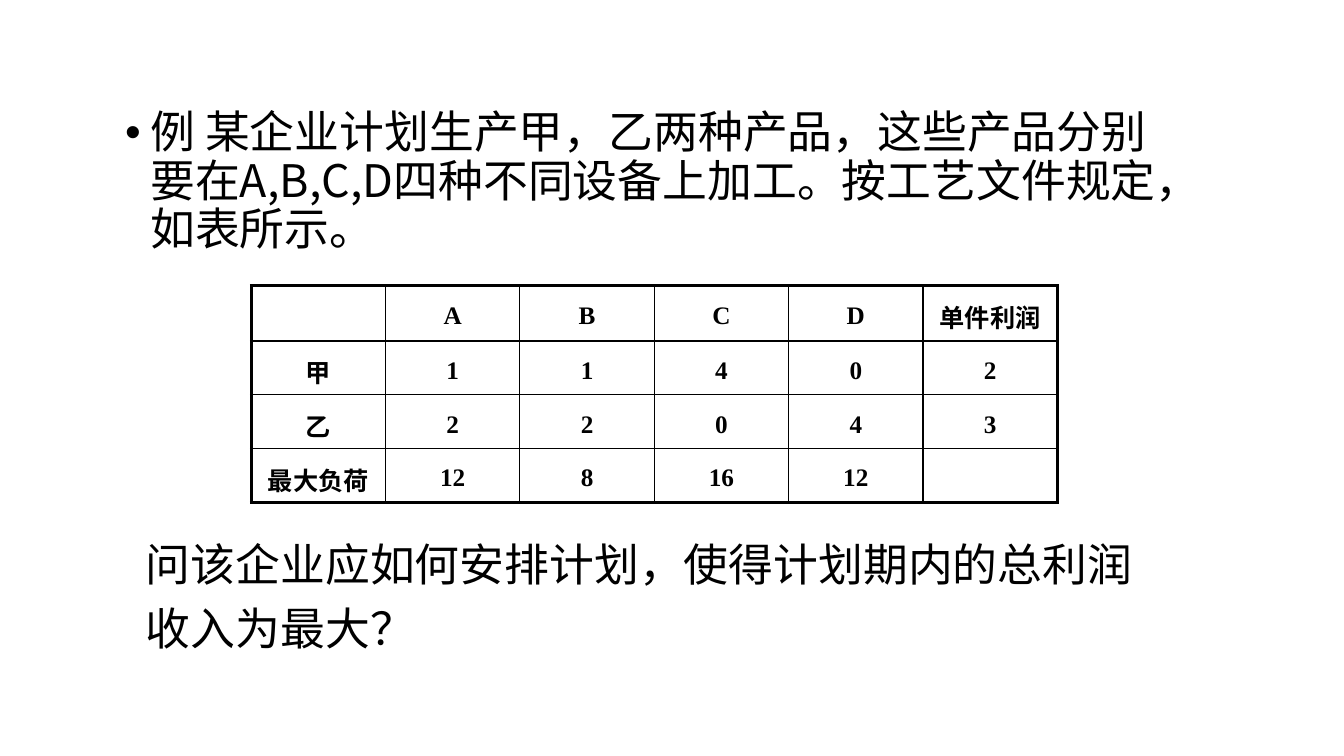
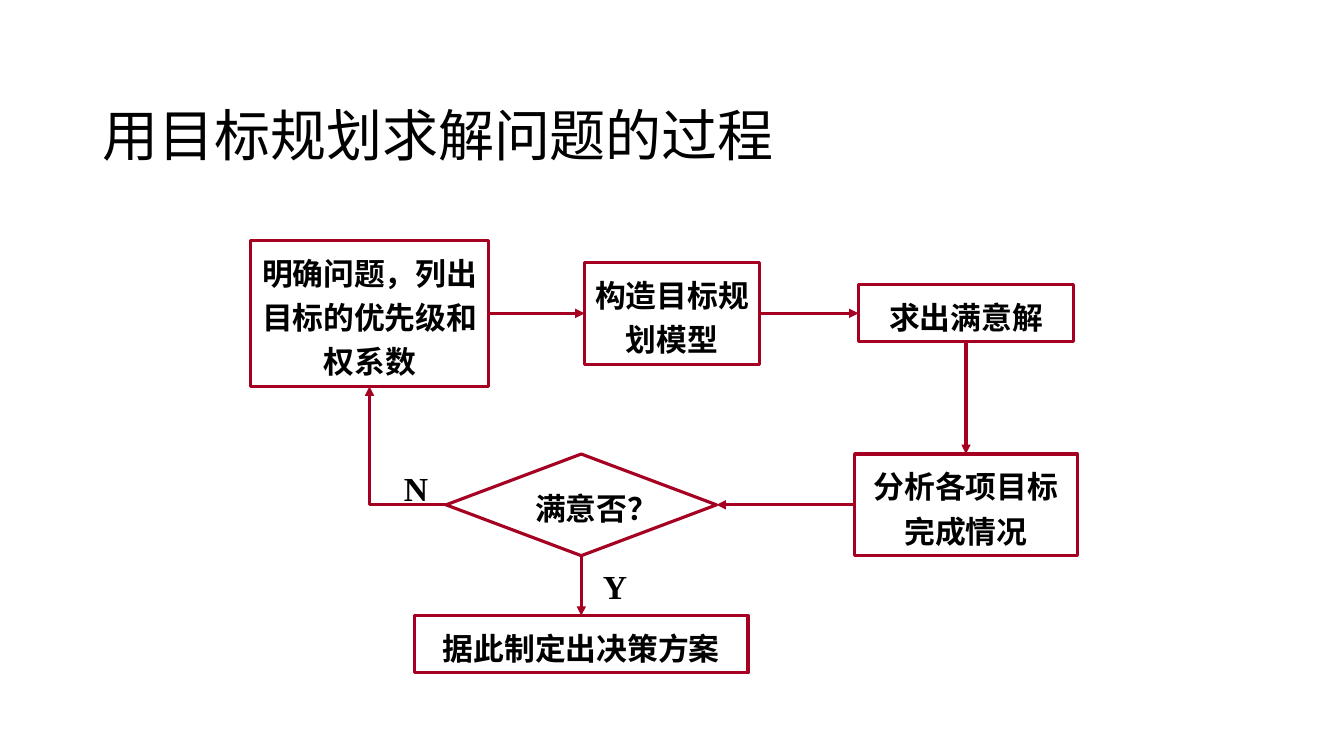
from dataclasses import dataclass
from typing import NamedTuple, Optional

from lxml.etree import SubElement
from pptx import Presentation
from pptx.dml.color import RGBColor
from pptx.enum.shapes import MSO_CONNECTOR as Link, MSO_SHAPE as Preset
from pptx.enum.text import MSO_ANCHOR as Anchor, MSO_AUTO_SIZE as AutoSize, PP_ALIGN as Align
from pptx.oxml.ns import qn
from pptx.util import Inches, Pt

SLIDE_W, SLIDE_H = Inches(13.33), Inches(7.5)
GRID_COLS, GRID_ROWS = 160, 90


@dataclass(frozen=True)
class TextStyle:
    size: float
    latin: str
    east_asian: str
    bold: bool = False
    spacing: float = 1.2
    align: Align = Align.LEFT


@dataclass(frozen=True)
class Theme:
    ink: RGBColor = RGBColor(0, 0, 0)
    paper: RGBColor = RGBColor(255, 255, 255)
    accent: RGBColor = RGBColor(0xA5, 0x00, 0x21)
    heavy: float = 2.25
    thin: float = 1
    title: TextStyle = TextStyle(40, "Noto Sans CJK SC", "Noto Sans CJK SC", spacing=0.9)
    example: TextStyle = TextStyle(32, "Noto Sans CJK JP", "Noto Sans CJK JP", spacing=0.9)
    question: TextStyle = TextStyle(32, "Noto Sans CJK JP", "Noto Sans CJK JP")
    cell: TextStyle = TextStyle(18, "Times New Roman", "Noto Sans CJK SC", True, align=Align.CENTER)
    step: TextStyle = TextStyle(22, "Times New Roman", "Noto Sans CJK SC", True, align=Align.CENTER)
    branch: TextStyle = TextStyle(24, "Times New Roman", "Noto Sans CJK SC", True)


THEME = Theme()


class Area(NamedTuple):
    """Left, top, width and height in grid columns and rows."""
    col: float
    row: float
    cols: float
    rows: float


class Step(NamedTuple):
    """A flow chart box, placed by its centre."""
    text: str
    mid_col: float
    mid_row: float
    cols: float
    rows: float
    preset: Preset = Preset.RECTANGLE


class Flow(NamedTuple):
    source: str
    source_side: int
    target: str
    target_side: int
    bent: bool = False


TOP, LEFT, BOTTOM, RIGHT = range(4)
UPPER, LOWER = 37.3, 60.1

STEPS = {
    "define": Step("明确问题，列出目标的优先级和权系数", 44, UPPER, 28.3, 17.4),
    "model": Step("构造目标规划模型", 80, UPPER, 20.8, 12.1),
    "solve": Step("求出满意解", 115, UPPER, 25.6, 6.8),
    "check": Step("满意否？", 69.2, LOWER, 32.2, 12.1, Preset.FLOWCHART_DECISION),
    "analyse": Step("分析各项目标完成情况", 115, LOWER, 26.5, 12.1),
    "decide": Step("据此制定出决策方案", 69.2, 76.7, 39.7, 6.8),
}

FLOWS = [
    Flow("define", RIGHT, "model", LEFT),
    Flow("model", RIGHT, "solve", LEFT),
    Flow("solve", BOTTOM, "analyse", TOP),
    Flow("analyse", LEFT, "check", RIGHT),
    Flow("check", BOTTOM, "decide", TOP),
    Flow("check", LEFT, "define", BOTTOM, bent=True),
]

BRANCHES = {"N": Area(46.9, 54.1, 9.5, 6.5), "Y": Area(70.6, 65.8, 13.2, 6.5)}

LOADS = [
    ["", "A", "B", "C", "D", "单件利润"],
    ["甲", "1", "1", "4", "0", "2"],
    ["乙", "2", "2", "0", "4", "3"],
    ["最大负荷", "12", "8", "16", "12", ""],
]
LOAD_COL, LOAD_ROW = 29.9, 34
LOAD_CELL_COLS, LOAD_HEAD_ROWS, LOAD_BODY_ROWS = 16, 6.6, 6.4


def across(cols: float) -> int:
    return round(SLIDE_W * cols / GRID_COLS)


def down(rows: float) -> int:
    return round(SLIDE_H * rows / GRID_ROWS)


def place(area: Area) -> tuple:
    return across(area.col), down(area.row), across(area.cols), down(area.rows)


def write(frame, text: str, style: TextStyle, bullet: Optional[str] = None) -> None:
    frame.text = text
    paragraph = frame.paragraphs[0]
    if bullet:
        props = paragraph._p.get_or_add_pPr()
        props.set("marL", str(Inches(0.25)))
        props.set("indent", str(-Inches(0.25)))
        SubElement(props, qn("a:buFont"), typeface="Arial")
        SubElement(props, qn("a:buChar"), char=bullet)
    paragraph.alignment = style.align
    paragraph.line_spacing = style.spacing
    paragraph.space_before = Pt(0)
    for run in paragraph.runs:
        run.font.size = Pt(style.size)
        run.font.bold = style.bold
        run.font.color.rgb = THEME.ink
        run.font.name = style.latin
        SubElement(run._r.get_or_add_rPr(), qn("a:ea"), typeface=style.east_asian)


def add_text(slide, area: Area, text: str, style: TextStyle, anchor: Anchor = Anchor.TOP,
             bullet: Optional[str] = None) -> None:
    frame = slide.shapes.add_textbox(*place(area)).text_frame
    frame.word_wrap = True
    frame.vertical_anchor = anchor
    write(frame, text, style, bullet)


def add_border(cell_props, edge: str, width: float, position: int) -> None:
    line = SubElement(cell_props, qn(f"a:ln{edge}"), w=str(Pt(width)))
    fill = SubElement(line, qn("a:solidFill"))
    SubElement(fill, qn("a:srgbClr"), val=str(THEME.ink))
    cell_props.insert(position, line)


def add_load_table(slide) -> None:
    row_total, col_total = len(LOADS), len(LOADS[0])
    heights = [LOAD_HEAD_ROWS] + [LOAD_BODY_ROWS] * (row_total - 1)
    area = Area(LOAD_COL, LOAD_ROW, LOAD_CELL_COLS * col_total, sum(heights))
    table = slide.shapes.add_table(row_total, col_total, *place(area)).table
    table.first_row = table.horz_banding = False
    for column in table.columns:
        column.width = across(LOAD_CELL_COLS)
    for r, values in enumerate(LOADS):
        table.rows[r].height = down(heights[r])
        for c, value in enumerate(values):
            cell = table.cell(r, c)
            write(cell.text_frame, value, THEME.cell)
            cell.vertical_anchor = Anchor.MIDDLE
            cell.fill.solid()
            cell.fill.fore_color.rgb = THEME.paper
            outer = {"L": c == 0, "R": c == col_total - 1, "T": r == 0, "B": r == row_total - 1}
            for position, (edge, is_outer) in enumerate(outer.items()):
                width = THEME.heavy if is_outer else THEME.thin
                add_border(cell._tc.get_or_add_tcPr(), edge, width, position)


def add_step(slide, step: Step):
    area = Area(step.mid_col - step.cols / 2, step.mid_row - step.rows / 2, step.cols, step.rows)
    box = slide.shapes.add_shape(step.preset, *place(area))
    box.shadow.inherit = False
    box.fill.solid()
    box.fill.fore_color.rgb = THEME.paper
    box.line.color.rgb = THEME.accent
    box.line.width = Pt(THEME.heavy)
    frame = box.text_frame
    frame.word_wrap = True
    frame.auto_size = AutoSize.SHAPE_TO_FIT_TEXT
    frame.vertical_anchor = Anchor.MIDDLE
    write(frame, step.text, THEME.step)
    return box


def add_flow(slide, flow: Flow, boxes: dict) -> None:
    arrow = slide.shapes.add_connector(Link.ELBOW if flow.bent else Link.STRAIGHT, 0, 0, 0, 0)
    arrow.begin_connect(boxes[flow.source], flow.source_side)
    arrow.end_connect(boxes[flow.target], flow.target_side)
    arrow.line.color.rgb = THEME.accent
    arrow.line.width = Pt(THEME.heavy)
    props = arrow._element.spPr
    if flow.bent:
        props.find(qn("a:prstGeom")).set("prst", "bentConnector2")
    SubElement(props.find(qn("a:ln")), qn("a:tailEnd"), type="triangle")
    SubElement(props, qn("a:effectLst"))


def build_example(slide) -> None:
    add_text(slide, Area(13.7, 12.5, 128.4, 13.2),
             "例 某企业计划生产甲，乙两种产品，这些产品分别要在A,B,C,D四种不同设备上加工。"
             "按工艺文件规定，如表所示。", THEME.example, bullet="•")
    add_load_table(slide)
    add_text(slide, Area(16.2, 62, 121.3, 16.3),
             "问该企业应如何安排计划，使得计划期内的总利润收入为最大？", THEME.question)


def build_process(slide) -> None:
    add_text(slide, Area(11, 10.9, 138, 11.2), "用目标规划求解问题的过程", THEME.title, Anchor.MIDDLE)
    boxes = {key: add_step(slide, step) for key, step in STEPS.items()}
    for flow in FLOWS:
        add_flow(slide, flow, boxes)
    for answer, area in BRANCHES.items():
        add_text(slide, area, answer, THEME.branch)


def main() -> None:
    deck = Presentation()
    deck.slide_width, deck.slide_height = SLIDE_W, SLIDE_H
    blank = deck.slide_layouts[6]
    for build in (build_example, build_process):
        build(deck.slides.add_slide(blank))
    deck.save("out.pptx")


if __name__ == "__main__":
    main()
